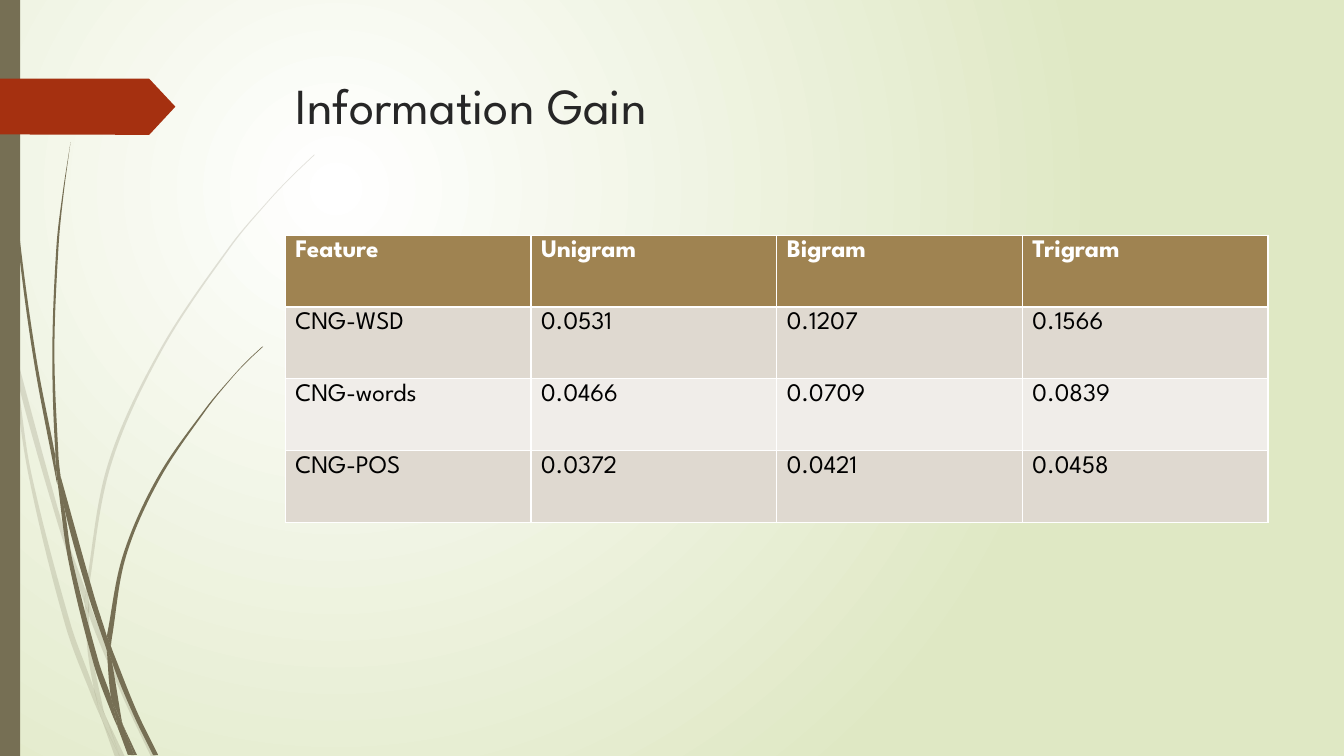
from math import dist

from lxml import etree
from pptx import Presentation
from pptx.dml.color import RGBColor
from pptx.enum.shapes import MSO_SHAPE
from pptx.enum.text import MSO_ANCHOR, MSO_AUTO_SIZE, PP_ALIGN
from pptx.oxml.ns import qn
from pptx.util import Pt

RECTANGLE = MSO_SHAPE.RECTANGLE
TOP = MSO_ANCHOR.TOP
LEFT = PP_ALIGN.LEFT
NO_AUTOFIT = MSO_AUTO_SIZE.NONE

FONT = "League Spartan"
TITLE_ONLY = 5
UNITS = 100
COLOURS = {
    "white": "FFFFFF", "background": "DFE8C4", "grass": "766F54", "tag": "A53010",
    "title": "262626", "header": "9F8351", "text": "000000",
    "band_dark": "DFD9D0", "band_light": "F0EDE9",
}
FAINT_BLADES = [
    ([(7.9, 252), (6.5, 231.8), (0, 203)], [(7.9, 252), (7.2, 247.7), (0, 215.3)]),
    ([(10.1, 248.4), (44.6, 374.4), (61.2, 421.9)],
     [(10.1, 248.4), (12.2, 270.7), (41.8, 375.8), (60.5, 431.3)]),
    ([(63.4, 429.1), (66.2, 437), (91.4, 498.2), (111.6, 540.7)],
     [(63.4, 429.1), (63.4, 439.2), (88.6, 499.7), (108, 540.7)]),
    ([(75.6, 511.9), (89.3, 540.7)], [(75.6, 511.9), (85.7, 540.7)]),
    ([(7.9, 252), (12.2, 270.7), (22.3, 337.7), (50.4, 445.7), (67, 491.8),
      (71.3, 509), (72.7, 514.1)],
     [(7.9, 252), (20.2, 338.4), (46.8, 447.1), (66.2, 499), (72.7, 514.1)]),
    ([(60.5, 431.3), (62.6, 465.1), (67, 491.8), (69.1, 498.2), (75.6, 511.9)],
     [(60.5, 431.3), (63.4, 437.8), (63.4, 439.2), (65.5, 465.1), (74.2, 508.3),
      (75.6, 511.9)]),
    ([(224.6, 110.2), (208.1, 126), (193, 141.8), (164.2, 175.7), (113.8, 250.6),
      (77, 331.9), (61.2, 420.5), (61.2, 421.9)],
     [(224.6, 110.9), (208.8, 126), (193, 142.6), (164.9, 176.4), (115.2, 251.3),
      (79.2, 332.6), (63.4, 420.5), (63.4, 429.1)]),
    ([(72.7, 514.1), (82.1, 540.7)], [(72.7, 514.1), (85.7, 540.7)]),
    ([(61.2, 421.9), (60.5, 431.3), (63.4, 437.8)],
     [(61.2, 421.9), (63.4, 429.1), (63.4, 439.2)]),
    ([(67, 491.8), (69.1, 498.2), (75.6, 511.9), (85.7, 540.7)],
     [(67, 491.8), (71.3, 509), (72.7, 514.1), (85.7, 540.7)]),
]
DARK_BLADES = [
    ([(2.9, 0), (3.6, 34.6), (5.8, 78.5), (13.7, 167), (25.9, 255.6),
      (39.6, 326.2), (39.6, 329), (41, 346.3)],
     [(2.2, 0), (2.9, 34.6), (5, 79.2), (12.2, 167.8), (23.8, 255.6),
      (40.3, 343.4), (41, 346.3)]),
    ([(43.2, 339.8), (67, 424.8), (76.3, 454.3), (76.3, 455.8), (76.3, 464.4)],
     [(43.2, 339.8), (46.1, 363.6), (63.4, 426.2), (76.3, 464.4)]),
    ([(79.2, 461.5), (81.4, 467.3), (97.9, 508.3), (113, 539.3)],
     [(79.2, 461.5), (79.9, 472.3), (95, 509.8), (109.4, 539.3)]),
    ([(41, 343.4), (46.1, 363.6), (51.8, 400.3), (70.6, 473), (79.2, 497.5),
      (83.5, 516.2), (84.2, 519.8)],
     [(41, 343.4), (49, 401), (67, 474.5), (79.9, 509.8), (84.2, 519.8)]),
    ([(50.4, 101.5), (44.6, 139), (40.3, 176.4), (37.4, 251.3), (39.6, 323.3),
      (43.2, 339.8)],
     [(50.4, 101.5), (45.4, 139), (41.8, 176.4), (38.9, 251.3), (41.8, 326.2),
      (43.2, 339.8)]),
    ([(87.8, 517.7), (95.8, 539.3)], [(87.8, 517.7), (97.9, 539.3)]),
    ([(39.6, 323.3), (39.6, 326.2), (41, 343.4), (46.1, 363.6)],
     [(39.6, 323.3), (43.2, 339.8), (46.1, 363.6)]),
    ([(187.2, 247.7), (176.4, 257.8), (166.3, 268.6), (146.9, 291.6), (112.3, 341.3),
      (87.8, 396.7), (76.3, 454.3)],
     [(187.9, 247.7), (176.4, 258.5), (166.3, 269.3), (147.6, 292.3), (113.8, 342.7),
      (90, 397.4), (79.9, 455.8), (79.2, 461.5)]),
    ([(84.2, 519.8), (91.4, 539.3)], [(84.2, 519.8), (94.3, 539.3)]),
    ([(76.3, 464.4), (79.2, 497.5), (83.5, 508.3), (87.8, 517.7)],
     [(76.3, 464.4), (78.5, 468.7), (79.9, 472.3), (87.1, 515.5), (87.8, 517.7)]),
    ([(76.3, 454.3), (76.3, 464.4), (78.5, 468.7), (79.9, 472.3)],
     [(76.3, 454.3), (79.2, 461.5), (79.9, 472.3)]),
    ([(79.2, 497.5), (83.5, 508.3), (87.8, 517.7), (95.8, 539.3)],
     [(79.2, 497.5), (83.5, 516.2), (84.2, 519.8), (93.6, 539.3)]),
]
TAG_OUTLINE = [(0, 56.2), (106.6, 56.2), (125.3, 76.2), (106.6, 96.3), (0, 96)]
GAIN_ROWS = [
    ("Feature", "Unigram", "Bigram", "Trigram"),
    ("CNG-WSD", "0.0531", "0.1207", "0.1566"),
    ("CNG-words", "0.0466", "0.0709", "0.0839"),
    ("CNG-POS", "0.0372", "0.0421", "0.0458"),
]


def colour(name):
    return RGBColor.from_string(COLOURS[name])


def paint(shape, name, opacity=100):
    shape.shadow.inherit = False
    shape.fill.solid()
    shape.fill.fore_color.rgb = colour(name)
    shape.line.fill.background()
    if opacity < 100:
        rgb = shape.element.spPr.find(qn("a:solidFill")).find(qn("a:srgbClr"))
        etree.SubElement(rgb, qn("a:alpha"), val=str(opacity * 1000))


def set_background(page):
    fill = page.background.fill
    fill.gradient()
    for stop, name in zip(fill.gradient_stops, ("white", "background")):
        stop.color.rgb = colour(name)
    gradient = page.element.find(".//" + qn("a:gradFill"))
    circle = etree.Element(qn("a:path"), path="circle")
    etree.SubElement(circle, qn("a:fillToRect"), l="50000", t="50000", r="100000", b="100000")
    gradient.replace(gradient.find(qn("a:lin")), circle)


def curve_edge(points):
    lengths = [dist(start, end) for start, end in zip(points, points[1:])]
    slopes = []
    for i in range(len(points)):
        before, after = max(i - 1, 0), min(i + 1, len(lengths))
        span = sum(lengths[before:after])
        slopes.append([(b - a) / span for a, b in zip(points[before], points[after])])
    curves = []
    for i, length in enumerate(lengths):
        first = tuple(p + m * length / 3 for p, m in zip(points[i], slopes[i]))
        second = tuple(p - m * length / 3 for p, m in zip(points[i + 1], slopes[i + 1]))
        curves.append((first, second, points[i + 1]))
    return curves


def add_outline(shapes, points, name, opacity=100):
    corners = [(x * UNITS, y * UNITS) for x, y in points]
    builder = shapes.build_freeform(*corners[0], scale=Pt(1) / UNITS)
    builder.add_line_segments(corners[1:], close=True)
    shape = builder.convert_to_shape()
    paint(shape, name, opacity)
    return shape


def add_blade(shapes, edges, opacity):
    outer, inner = edges
    curves = curve_edge(outer)
    if outer[-1] != inner[-1]:
        curves.append((outer[-1], inner[-1], inner[-1]))
    curves += curve_edge(inner[::-1])
    points = [outer[0]] + [curve[-1] for curve in curves]
    shape = add_outline(shapes, points, "grass", opacity)
    left, top = map(min, zip(*points))
    for line, curve in zip(list(shape.element.iter(qn("a:lnTo"))), curves):
        bend = etree.Element(qn("a:cubicBezTo"))
        for x, y in curve:
            etree.SubElement(bend, qn("a:pt"), x=str(round((x - left) * UNITS)),
                             y=str(round((y - top) * UNITS)))
        line.getparent().replace(line, bend)


def set_title(page, text):
    title = page.shapes.title
    title.left, title.top, title.width, title.height = Pt(204.2), Pt(49), Pt(702), Pt(100.8)
    frame = title.text_frame
    frame.text = text
    frame.auto_size = NO_AUTOFIT
    frame.vertical_anchor = TOP
    format_paragraph(frame.paragraphs[0], 36, "title")


def format_paragraph(para, size, name, bold=False):
    para.alignment = LEFT
    para.font.name = FONT
    para.font.size = Pt(size)
    para.font.bold = bold
    para.font.color.rgb = colour(name)


def add_gain_table(page, rows):
    frame = page.shapes.add_table(len(rows), len(rows[0]), Pt(203.8), Pt(168), Pt(702), Pt(205.2))
    for row_index, row in enumerate(rows):
        is_header = row_index == 0
        band = "header" if is_header else ("band_light", "band_dark")[row_index % 2]
        for column_index, text in enumerate(row):
            cell = frame.table.cell(row_index, column_index)
            cell.text = text
            cell.fill.solid()
            cell.fill.fore_color.rgb = colour(band)
            format_paragraph(cell.text_frame.paragraphs[0], 18,
                             "white" if is_header else "text", is_header)


def main():
    deck = Presentation()
    deck.slide_width, deck.slide_height = Pt(960), Pt(540)
    page = deck.slides.add_slide(deck.slide_layouts[TITLE_ONLY])
    set_background(page)
    for blades, opacity in ((FAINT_BLADES, 20), (DARK_BLADES, 100)):
        group = page.shapes.add_group_shape()
        for edges in blades:
            add_blade(group.shapes, edges, opacity)
    stem = page.shapes.add_shape(RECTANGLE, Pt(0), Pt(0), Pt(14.4), Pt(540))
    paint(stem, "grass")
    add_outline(page.shapes, TAG_OUTLINE, "tag")
    set_title(page, "Information Gain")
    add_gain_table(page, GAIN_ROWS)
    deck.save("out.pptx")


main()
